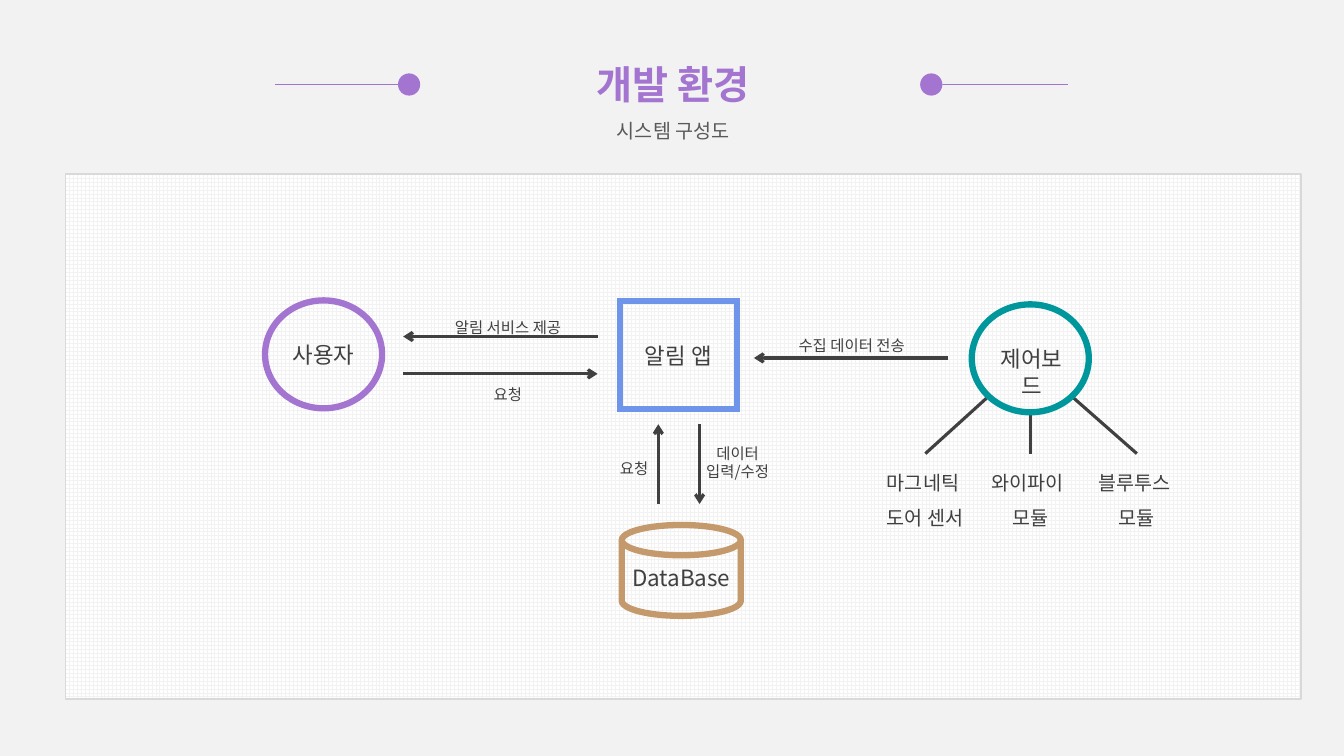
from lxml import etree
from pptx import Presentation
from pptx.dml.color import RGBColor
from pptx.enum import dml, shapes, text
from pptx.oxml.ns import qn
from pptx.util import Cm, Pt

FONT = "Noto Sans CJK KR"
PURPLE, DARK, PALE = "A374D0", "404040", "F2F2F2"
KIND = shapes.MSO_SHAPE


def paint(color, code):
    color.rgb = RGBColor.from_string(code)


def write(box, lines, size=16, color=DARK, bold=False, gap=1.0, mid=False,
          pad=0.25):
    """Add centred lines to a shape; a line may be (text, format) to differ."""
    frame = box.text_frame
    frame.word_wrap = True
    frame.auto_size = text.MSO_AUTO_SIZE.NONE
    frame.vertical_anchor = (text.MSO_ANCHOR.MIDDLE if mid
                             else text.MSO_ANCHOR.TOP)
    frame.margin_left = frame.margin_right = Cm(pad)
    frame.margin_top = frame.margin_bottom = Cm(0.13)
    for i, line in enumerate(lines):
        words, own = line if isinstance(line, tuple) else (line, {})
        par = frame.paragraphs[0] if i == 0 else frame.add_paragraph()
        par.alignment = text.PP_ALIGN.CENTER
        par.line_spacing = gap
        run = par.add_run()
        run.text = words
        font = run.font
        font.name = FONT
        font.size = Pt(own.get("size", size))
        font.bold = own.get("bold", bold)
        paint(font.color, own.get("color", color))
        face = etree.SubElement(font._element, qn("a:ea"))
        face.set("typeface", FONT)


deck = Presentation()
deck.slide_width, deck.slide_height = Cm(33.87), Cm(19.05)
slide = deck.slides.add_slide(deck.slide_layouts[5])
back = slide.background.fill
back.solid()
paint(back.fore_color, PALE)
items = slide.shapes

# Panel
panel = items.add_shape(KIND.RECTANGLE, Cm(1.65), Cm(4.39), Cm(31.14), Cm(13.23))
panel.shadow.inherit = False
panel.fill.patterned()
panel.fill.pattern = dml.MSO_PATTERN.LARGE_GRID
paint(panel.fill.fore_color, PALE)
paint(panel.fill.back_color, "FFFFFF")
paint(panel.line.color, "D9D9D9")
panel.line.width = Pt(1)

# Lines: start, end, colour, width, arrow at the end
links = [
    (6.93, 2.13, 26.92, 2.13, PURPLE, 0.5, False),
    (24.92, 9.98, 23.32, 11.43, DARK, 2.25, False),
    (25.96, 10.36, 25.96, 11.43, DARK, 2.25, False),
    (27, 9.98, 28.65, 11.43, DARK, 2.25, False),
    (15.06, 8.48, 10.16, 8.48, DARK, 2.25, True),
    (10.16, 9.42, 15.06, 9.42, DARK, 2.25, True),
    (23.9, 9.02, 19, 9.02, DARK, 2.25, True),
    (16.59, 12.7, 16.59, 10.69, DARK, 2.25, True),
    (17.63, 10.69, 17.63, 12.7, DARK, 2.25, True),
]
for *ends, color, width, arrow in links:
    link = items.add_connector(shapes.MSO_CONNECTOR.STRAIGHT, *map(Cm, ends))
    paint(link.line.color, color)
    link.line.width = Pt(width)
    if arrow:
        tip = etree.SubElement(link.line._get_or_add_ln(), qn("a:tailEnd"))
        tip.set("type", "arrow")
    etree.SubElement(link._element.spPr, qn("a:effectLst"))

# Title covers the middle of the header line
title = items.title
title.left, title.top, title.width, title.height = map(
    Cm, (10.19, 0.79, 13.56, 2.84))
title.fill.solid()
paint(title.fill.fore_color, PALE)
sub = {"size": 14, "color": "595959", "bold": False}
write(title, ["개발 환경", ("시스템 구성도", sub)], size=28, color=PURPLE,
      bold=True, gap=1.5)
title._element.getparent().append(title._element)

for left in (10.03, 23.19):
    dot = items.add_shape(KIND.OVAL, Cm(left), Cm(1.85), Cm(0.56), Cm(0.56))
    dot.shadow.inherit = False
    dot.fill.solid()
    paint(dot.fill.fore_color, PURPLE)
    dot.line.fill.background()

# Outlined nodes
nodes = [
    (KIND.OVAL, 6.68, 7.57, 2.95, 2.72, PURPLE, "사용자"),
    (KIND.RECTANGLE, 15.62, 7.59, 2.95, 2.72, "6E95EA", "알림 앱"),
    (KIND.FLOWCHART_MAGNETIC_DISK, 15.67, 13.23, 3, 2.29, "C49A6C", "DataBase"),
    (KIND.OVAL, 24.49, 7.67, 2.95, 2.72, "00979C", ""),
]
for kind, *area, color, name in nodes:
    node = items.add_shape(kind, *map(Cm, area))
    node.shadow.inherit = False
    node.fill.background()
    paint(node.line.color, color)
    node.line.width = Pt(4.5)
    etree.SubElement(node.line._get_or_add_ln(), qn("a:miter")).set("lim", "800000")
    if name:
        write(node, [name], mid=True, pad=0)

# Labels: left, top, width, height, size, line spacing, lines
labels = [
    (24.74, 8.56, 2.51, 0.94, 16, 1, ["제어보드"]),
    (21.82, 11.43, 3, 2.01, 14, 1.5, ["마그네틱 ", "도어 센서"]),
    (24.46, 11.43, 3, 2.01, 14, 1.5, ["와이파이 ", "모듈"]),
    (27.15, 11.43, 3, 2.01, 14, 1.5, ["블루투스 ", "모듈"]),
    (10.85, 7.65, 3.91, 0.89, 11, 1.5, ["알림 서비스 제공"]),
    (11.3, 9.35, 3, 0.89, 11, 1.5, ["요청"]),
    (19.51, 8.1, 3.91, 0.89, 11, 1.5, ["수집 데이터 전송"]),
    (14.48, 11.2, 3, 0.89, 11, 1.5, ["요청"]),
    (17.09, 11.05, 3, 1.19, 11, 1, ["데이터", "입력/수정"]),
]
for *area, size, gap, lines in labels:
    write(items.add_textbox(*map(Cm, area)), lines, size=size, gap=gap)

deck.save("out.pptx")
